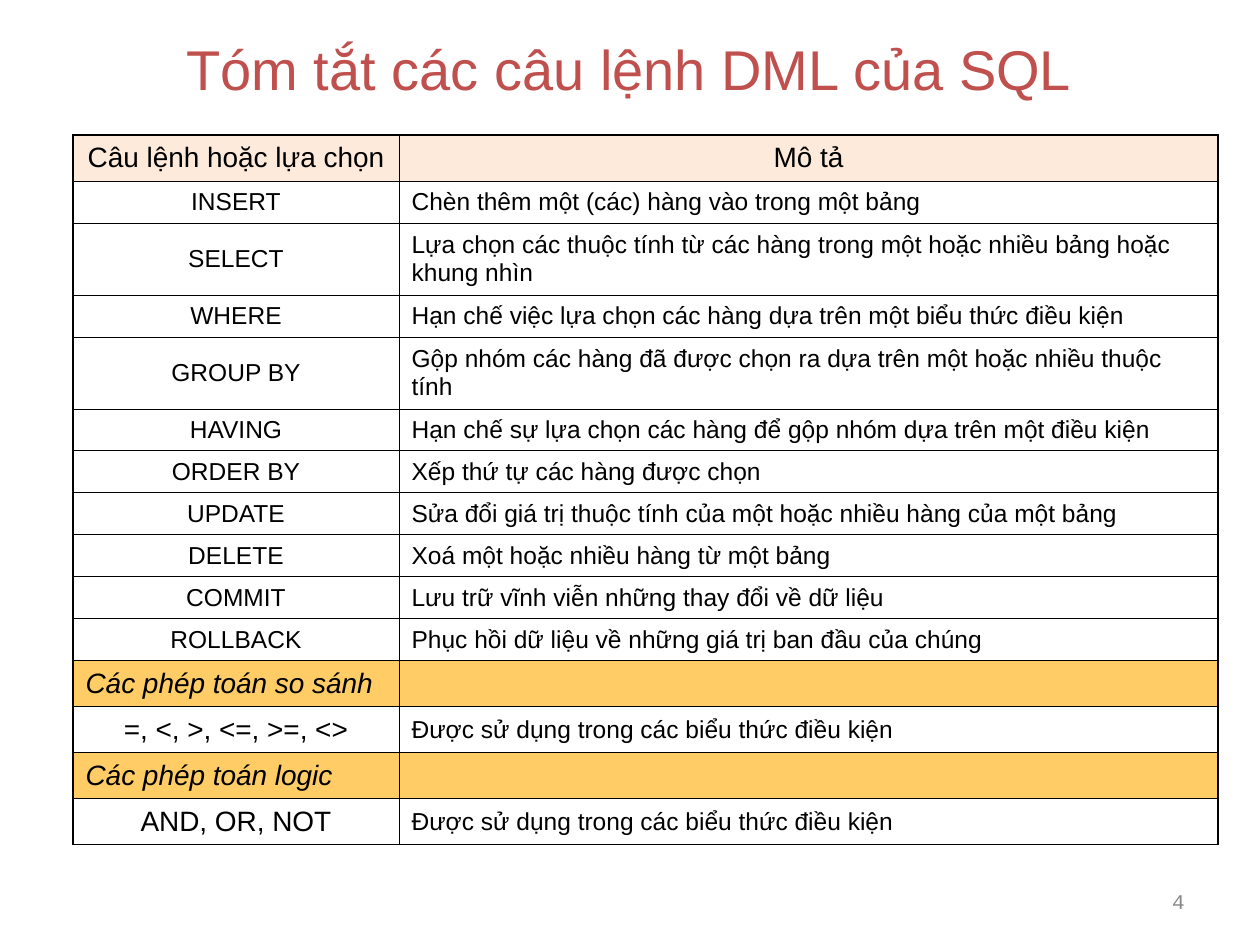
from dataclasses import dataclass

from lxml.etree import SubElement
from pptx import Presentation
from pptx.dml.color import RGBColor
from pptx.enum.text import MSO_ANCHOR, PP_ALIGN
from pptx.oxml.ns import qn
from pptx.util import Pt

SCALE = 914400 / 126


@dataclass(frozen=True)
class Theme:
    """Hold the colours, fonts and type sizes of the slide."""
    title: str = "C0504D"
    ink: str = "000000"
    muted: str = "898989"
    header: str = "FDEADA"
    section: str = "FFCC66"
    font: str = "Arial"
    number_font: str = "Courier New"
    title_size: int = 32
    label_size: int = 16
    body_size: int = 14
    number_size: int = 12
    outer_line: float = 1.08
    inner_line: float = 0.45


THEME = Theme()
COLUMNS = (326, 819)
HEIGHTS = {"tall": 46, "plain": 42, "double": 72}
ROWS = (
    ("header", "tall", "Câu lệnh hoặc lựa chọn", "Mô tả"),
    ("body", "plain", "INSERT", "Chèn thêm một (các) hàng vào trong một bảng"),
    ("body", "double", "SELECT",
     "Lựa chọn các thuộc tính từ các hàng trong một hoặc nhiều bảng hoặc khung nhìn"),
    ("body", "plain", "WHERE",
     "Hạn chế việc lựa chọn các hàng dựa trên một biểu thức điều kiện"),
    ("body", "double", "GROUP BY",
     "Gộp nhóm các hàng đã được chọn ra dựa trên một hoặc nhiều thuộc tính"),
    ("body", "plain", "HAVING",
     "Hạn chế sự lựa chọn các hàng để gộp nhóm dựa trên một điều kiện"),
    ("body", "plain", "ORDER BY", "Xếp thứ tự các hàng được chọn"),
    ("body", "plain", "UPDATE",
     "Sửa đổi giá trị thuộc tính của một hoặc nhiều hàng của một bảng"),
    ("body", "plain", "DELETE", "Xoá một hoặc nhiều hàng từ một bảng"),
    ("body", "plain", "COMMIT", "Lưu trữ vĩnh viễn những thay đổi về dữ liệu"),
    ("body", "plain", "ROLLBACK", "Phục hồi dữ liệu về những giá trị ban đầu của chúng"),
    ("section", "tall", "Các phép toán so sánh", ""),
    ("body", "tall", "=, <, >, <=, >=, <>", "Được sử dụng trong các biểu thức điều kiện"),
    ("section", "tall", "Các phép toán logic", ""),
    ("body", "tall", "AND, OR, NOT", "Được sử dụng trong các biểu thức điều kiện"),
)


def px(length):
    """Turn a px length into EMU."""
    return round(length * SCALE)


def apply(target, values):
    """Set each attribute of the target from a dict."""
    for name, value in values.items():
        setattr(target, name, value)


def write(frame, text, size, color, align, font=THEME.font, italic=False):
    """Write one formatted paragraph into a text frame."""
    para = frame.paragraphs[0]
    para.alignment = align
    span = para.add_run()
    span.text = text
    apply(span.font, {"name": font, "size": Pt(size), "italic": italic})
    span.font.color.rgb = RGBColor.from_string(color)


def place(shape, box):
    """Move a shape into a box given in px."""
    apply(shape, dict(zip(("left", "top", "width", "height"), map(px, box))))


def add_title(slide, box):
    """Fill and place the title placeholder."""
    title = slide.shapes.title
    place(title, box)
    apply(title.text_frame, {"vertical_anchor": MSO_ANCHOR.MIDDLE, "word_wrap": True})
    write(title.text_frame, "Tóm tắt các câu lệnh DML của SQL",
          THEME.title_size, THEME.title, PP_ALIGN.CENTER)


def add_borders(cell, outer_sides):
    """Rule the four sides of a cell, heavier on the table edge."""
    properties = cell._tc.get_or_add_tcPr()
    for side in "LRTB":
        width = THEME.outer_line if side in outer_sides else THEME.inner_line
        line = SubElement(properties, qn(f"a:ln{side}"), w=str(Pt(width)))
        fill = SubElement(line, qn("a:solidFill"))
        SubElement(fill, qn("a:srgbClr"), val=THEME.ink)


def fill_cell(cell, kind, height, column, text):
    """Colour a cell and write its text by row kind and column."""
    fills = {"header": THEME.header, "section": THEME.section}
    if kind in fills:
        cell.fill.solid()
        cell.fill.fore_color.rgb = RGBColor.from_string(fills[kind])
    else:
        cell.fill.background()
    cell.vertical_anchor = MSO_ANCHOR.MIDDLE
    if not text:
        apply(cell, {"margin_top": 0, "margin_bottom": 0})
        return
    centred = kind == "header" or (kind == "body" and column == 0)
    large = kind == "header" or (height == "tall" and column == 0)
    write(cell.text_frame, text,
          THEME.label_size if large else THEME.body_size, THEME.ink,
          PP_ALIGN.CENTER if centred else PP_ALIGN.LEFT,
          italic=kind == "section")


def add_command_table(slide, left, top):
    """Build the table of commands from its top left corner."""
    total = sum(HEIGHTS[height] for _, height, *_ in ROWS)
    bounds = map(px, (left, top, sum(COLUMNS), total))
    table = slide.shapes.add_table(len(ROWS), len(COLUMNS), *bounds).table
    apply(table, {"first_row": False, "horz_banding": False})
    for column, width in zip(table.columns, COLUMNS):
        column.width = px(width)
    for index, (kind, height, *texts) in enumerate(ROWS):
        table.rows[index].height = px(HEIGHTS[height])
        edge = {0: "T", len(ROWS) - 1: "B"}.get(index, "")
        for column, text in enumerate(texts):
            cell = table.cell(index, column)
            add_borders(cell, edge + "LR"[column])
            fill_cell(cell, kind, height, column, text)


def add_page_number(slide, box):
    """Write the page number, right aligned in its box."""
    frame = slide.shapes.add_textbox(*map(px, box)).text_frame
    apply(frame, {"word_wrap": True, "vertical_anchor": MSO_ANCHOR.MIDDLE})
    write(frame, "4", THEME.number_size, THEME.muted, PP_ALIGN.RIGHT, THEME.number_font)


def main():
    """Build and save the deck."""
    deck = Presentation()
    apply(deck, {"slide_width": px(1260), "slide_height": px(945)})
    slide = deck.slides.add_slide(deck.slide_layouts[5])
    add_title(slide, (94, 21, 1071, 94))
    add_command_table(slide, 73, 135)
    add_page_number(slide, (903, 876, 294, 50))
    deck.save("out.pptx")


if __name__ == "__main__":
    main()
